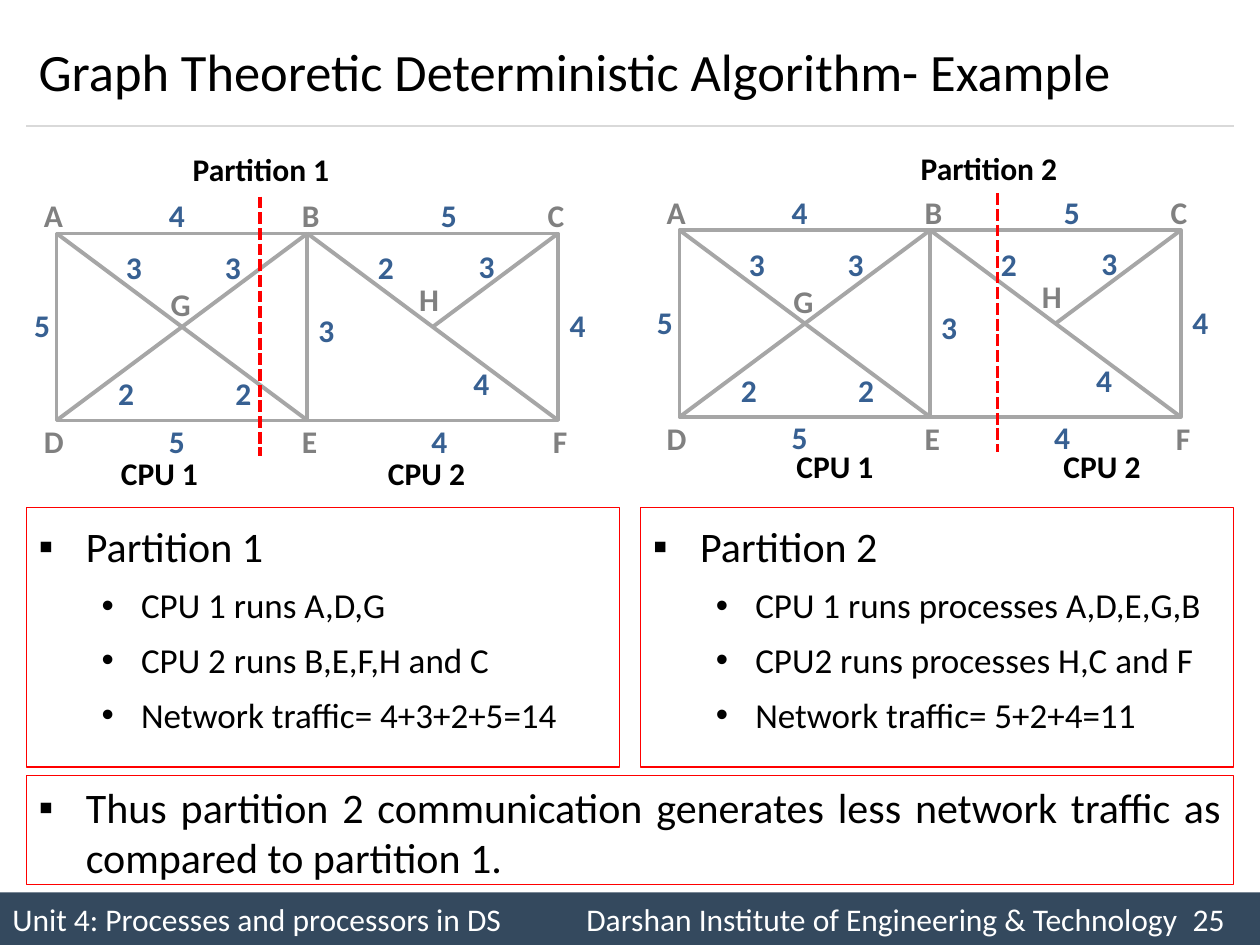
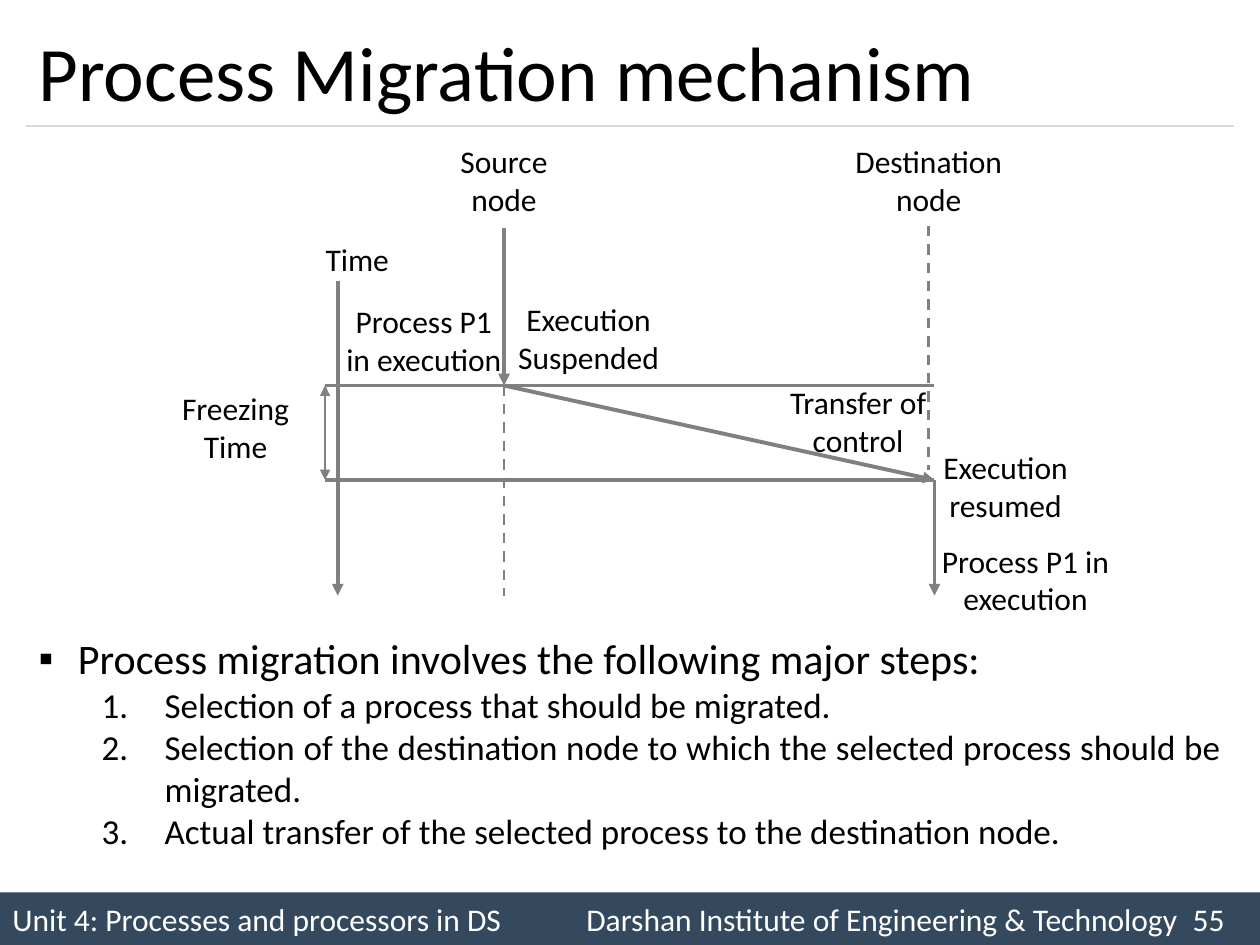
from lxml import etree
from pptx import Presentation
from pptx.dml.color import RGBColor
from pptx.enum import dml, shapes, text
from pptx.oxml.ns import qn
from pptx.util import Pt

BLACK = RGBColor(0x00, 0x00, 0x00)
WHITE = RGBColor(0xFF, 0xFF, 0xFF)
NAVY = RGBColor(0x34, 0x49, 0x5E)
RULE = RGBColor(0xD9, 0xD9, 0xD9)
EDGE = RGBColor(0xA6, 0xA6, 0xA6)
GREY = RGBColor(0x80, 0x80, 0x80)
BLUE = RGBColor(0x37, 0x60, 0x92)
RED = RGBColor(0xFF, 0x00, 0x00)

FONT = "Calibri"
LEFT, WIDE = 15, 690
UNIT = "Unit 4: Processes and processors in DS"
SCHOOL = "Darshan Institute of Engineering & Technology"

# Graph labels: text, then offset of its box from the graph's top left corner
NODES = [
    ("A", -14.4, -25), ("B", 133, -25), ("C", 273.5, -25),
    ("D", -14.4, 104.5), ("E", 133, 104.5), ("F", 276.5, 104.5),
    ("G", 58, 26), ("H", 200, 23),
]
COSTS = [
    ("4", 57, -25), ("5", 212.5, -25), ("5", -20, 38), ("3", 142.5, 41),
    ("4", 286, 38), ("5", 57, 104), ("4", 207, 104),
    ("3", 32.5, 5), ("3", 89, 5), ("2", 28, 77), ("2", 95, 77),
    ("2", 176.5, 5), ("3", 234, 4.5), ("4", 231, 71),
]
GRAPH_W, GRAPH_H = 286.5, 106.8
CPU_GAP = 152.6

PARTS = [
    dict(name="Partition 1", graph=(32.4, 133.4), cut=116.3,
         tag=(103, 82), cpu=(62, 255.6), box=15,
         facts=["CPU 1 runs A,D,G", "CPU 2 runs B,E,F,H and C",
                "Network traffic= 4+3+2+5=14"]),
    dict(name="Partition 2", graph=(388.3, 131.5), cut=181.7,
         tag=(519, 81.4), cpu=(448, 252), box=366,
         facts=["CPU 1 runs processes A,D,E,G,B", "CPU2 runs processes H,C and F",
                "Network traffic= 5+2+4=11"]),
]
RESULT = ("Thus partition 2 communication generates less network traffic "
          "as compared to partition 1.")

# Time chart
TIME, SOURCE, DEST = 193, 288, 534
MARK = 185.8
STOP, RESUME, END = 220.3, 274.3, 340.4
# from, to, width, dashed, arrow at start, arrow at end
LINES = [
    ((TIME, 160.6), (TIME, END), 2.25, False, False, True),
    ((SOURCE, 130.3), (SOURCE, STOP), 2.25, False, False, True),
    ((MARK, STOP), (DEST, STOP), 2.25, False, False, False),
    ((MARK, RESUME), (DEST, RESUME), 2.25, False, False, False),
    ((DEST, RESUME), (DEST, END), 2.25, False, False, True),
    ((SOURCE, STOP), (DEST, RESUME), 2.25, False, False, True),
    ((MARK, STOP), (MARK, RESUME), 1.5, False, True, True),
    ((SOURCE, STOP), (SOURCE, END), 1.5, True, False, False),
    ((530.6, 129), (530.6, 268.6), 1.5, True, False, False),
]
# lines of text, left, top, width
NOTES = [
    (["Time"], 178.6, 133.9, 51),
    (["Freezing", "Time"], 96.5, 218.9, 76.3),
    (["Execution", "Suspended"], 286.6, 167.8, 99.4),
    (["Source", "node"], 255.6, 77.8, 64.8),
    (["Destination", "node"], 481, 77.8, 99.4),
    (["Process P1", "in execution"], 190, 169.2, 104.4),
    (["Transfer of", "control"], 440, 215.3, 100.8),
    (["Execution", "resumed"], 531.4, 252.7, 86.4),
    (["Process P1 in", "execution"], 530.6, 306, 110.9),
]
LEAD = "Process migration involves the following major steps:"
STEPS = [
    "Selection of a process that should be migrated.",
    "Selection of the destination node to which the selected process should be migrated.",
    "Actual transfer of the selected process to the destination node.",
]


def style(para, size, color=BLACK, bold=False):
    font = para.font
    font.name, font.size, font.bold = FONT, Pt(size), bold
    font.color.rgb = color


def bullet(para, mark, margin, hang):
    """Hang a bullet on a paragraph; the mark "1." numbers it."""
    props = para._p.get_or_add_pPr()
    props.set("marL", str(Pt(margin)))
    props.set("indent", str(Pt(-hang)))
    etree.SubElement(props, qn("a:buFont"), typeface="Arial" if mark != "1." else FONT)
    if mark == "1.":
        etree.SubElement(props, qn("a:buAutoNum"), type="arabicPeriod")
    else:
        etree.SubElement(props, qn("a:buChar"), char=mark)


def label(slide, rows, x, y, w, h=29, size=18, color=BLACK, bold=False,
          align=text.PP_ALIGN.LEFT, wrap=True):
    box = slide.shapes.add_textbox(Pt(x), Pt(y), Pt(w), Pt(h))
    frame = box.text_frame
    frame.word_wrap = wrap
    frame.text = "\n".join(rows)
    for para in frame.paragraphs:
        para.alignment = align
        style(para, size, color, bold)
    return frame


def rect(slide, x, y, w, h, fill=None, line=None, weight=0.75):
    box = slide.shapes.add_shape(shapes.MSO_SHAPE.RECTANGLE, Pt(x), Pt(y), Pt(w), Pt(h))
    box.shadow.inherit = False
    if fill is None:
        box.fill.background()
    else:
        box.fill.solid()
        box.fill.fore_color.rgb = fill
    if line is None:
        box.line.fill.background()
    else:
        box.line.color.rgb = line
        box.line.width = Pt(weight)
    return box


def line(slide, start, end, color, weight, dash=None, head=False, tail=False):
    link = slide.shapes.add_connector(
        shapes.MSO_CONNECTOR.STRAIGHT, *(Pt(v) for v in (*start, *end)))
    link.line.color.rgb = color
    link.line.width = Pt(weight)
    if dash:
        link.line.dash_style = dash
    for on, tag in ((head, "a:headEnd"), (tail, "a:tailEnd")):
        if on:
            etree.SubElement(link.line._get_or_add_ln(), qn(tag), type="triangle")
    etree.SubElement(link._element.spPr, qn("a:effectLst"))
    return link


def outline(frame, lead, items, mark, lead_in, item_in, spacing=1.0, gap=0):
    """Fill a frame with a lead line and its indented items."""
    frame.word_wrap = True
    frame.vertical_anchor = text.MSO_ANCHOR.TOP
    frame.text = "\n".join([lead, *items])
    for i, para in enumerate(frame.paragraphs):
        para.alignment = text.PP_ALIGN.JUSTIFY
        para.line_spacing = spacing
        if i:
            para.level = 1
            para.space_before = Pt(gap)
            bullet(para, mark, *item_in)
        else:
            bullet(para, "▪", lead_in, lead_in)
        style(para, 20 if i else 24)


def page(deck, title, size, number):
    slide = deck.slides.add_slide(deck.slide_layouts[6])
    band = rect(slide, 0, 510, 720, 30, fill=NAVY).text_frame
    band.vertical_anchor = text.MSO_ANCHOR.MIDDLE
    band.text = f"{UNIT}\t{SCHOOL}\t{number}"
    para = band.paragraphs[0]
    para.alignment = text.PP_ALIGN.LEFT
    tabs = etree.SubElement(para._p.get_or_add_pPr(), qn("a:tabLst"))
    for stop in (328, 674.5):
        etree.SubElement(tabs, qn("a:tab"), pos=str(Pt(stop)), algn="l")
    style(para, 18, WHITE)
    line(slide, (LEFT, 72), (LEFT + WIDE, 72), RULE, 0.75)
    head = label(slide, [title], LEFT, 8.6, WIDE, 63.4, size)
    head.vertical_anchor = text.MSO_ANCHOR.MIDDLE
    return slide


def graph(slide, x, y):
    frame = rect(slide, x, y, GRAPH_W, GRAPH_H, WHITE, EDGE, 2)
    mid, right, low = x + GRAPH_W / 2, x + GRAPH_W, y + GRAPH_H
    a, b, c = (x, y), (mid, y), (right, y)
    d, e, f = (x, low), (mid, low), (right, low)
    hub = (x + GRAPH_W * 0.75, y + GRAPH_H / 2)
    for start, end in ((b, e), (a, e), (b, f), (b, d), (c, hub)):
        link = line(slide, start, end, EDGE, 2.25)
        if start == b:
            link.begin_connect(frame, 0)
        if end == e:
            link.end_connect(frame, 2)
    for group, color in ((NODES, GREY), (COSTS, BLUE)):
        for name, dx, dy in group:
            label(slide, [name], x + dx, y + dy, 22, 22, color=color, bold=True)


def compare(deck):
    slide = page(deck, "Graph Theoretic Deterministic Algorithm- Example", 30, 25)
    for part in PARTS:
        x, y = part["graph"]
        graph(slide, x, y)
        cut = x + part["cut"]
        line(slide, (cut, y - 21), (cut, y + 127), RED, 2.25,
             dml.MSO_LINE.SQUARE_DOT)
        label(slide, [part["name"]], *part["tag"], 94.3, bold=True)
        left, top = part["cpu"]
        for i in range(2):
            label(slide, [f"CPU {i + 1}"], left + i * CPU_GAP, top, 60, bold=True)
        box = rect(slide, part["box"], 290, 339, 148.3, line=RED)
        outline(box.text_frame, part["name"], part["facts"], "•",
                27, (58.5, 22.5), 1.14, 4)
    box = rect(slide, LEFT, 443, WIDE, 62.6, line=RED)
    outline(box.text_frame, RESULT, [], "•", 27, (58.5, 22.5))


def migrate(deck):
    slide = page(deck, "Process Migration mechanism", 44, 55)
    for start, end, weight, dashed, head, tail in LINES:
        line(slide, start, end, GREY, weight,
             dml.MSO_LINE.DASH if dashed else None, head, tail)
    for rows, x, y, w in NOTES:
        label(slide, rows, x, y, w, 7.2 + 22 * len(rows),
              align=text.PP_ALIGN.CENTER, wrap=False)
    box = slide.shapes.add_textbox(Pt(LEFT), Pt(358), Pt(WIDE), Pt(133))
    outline(box.text_frame, LEAD, STEPS, "1.", 22.5, (72, 36))


def main():
    deck = Presentation()
    deck.slide_width, deck.slide_height = Pt(720), Pt(540)
    compare(deck)
    migrate(deck)
    deck.save("out.pptx")


if __name__ == "__main__":
    main()
